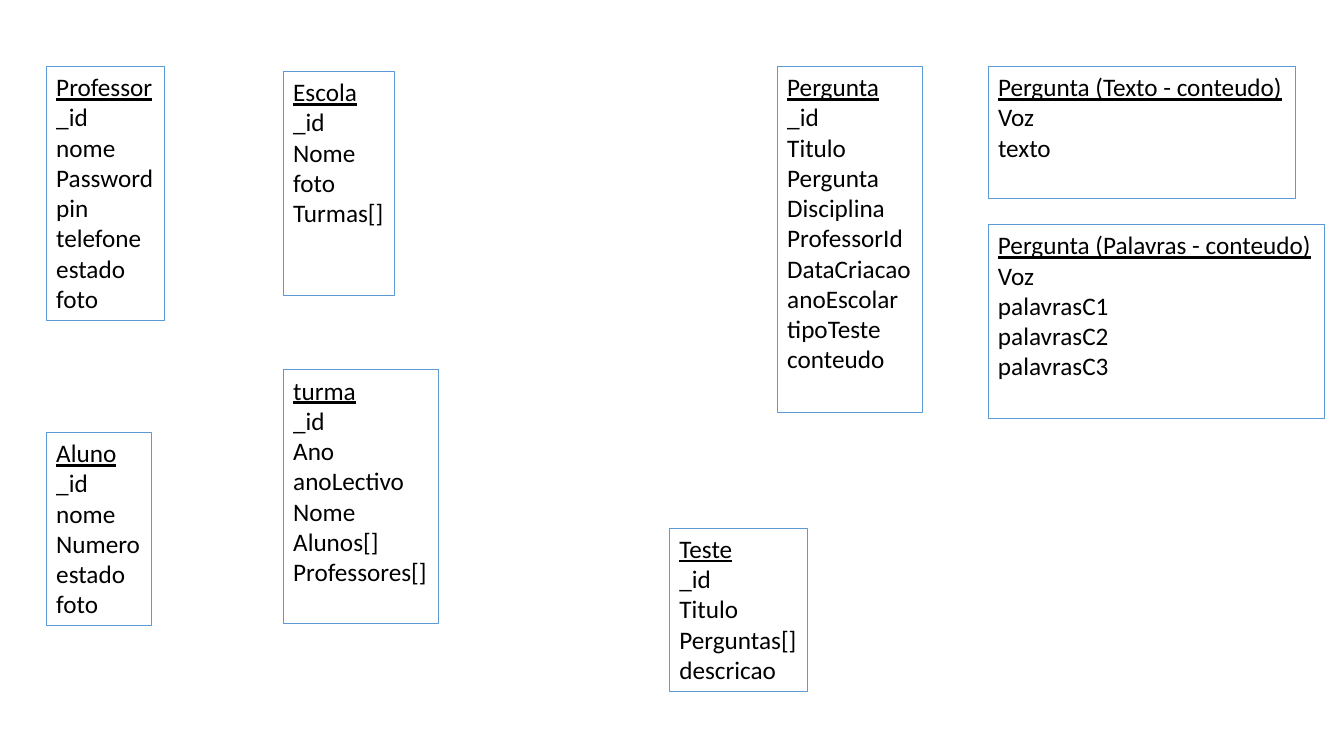
from dataclasses import dataclass

from pptx import Presentation
from pptx.dml.color import RGBColor
from pptx.enum.text import MSO_ANCHOR, MSO_AUTO_SIZE
from pptx.slide import Slide
from pptx.util import Inches, Pt

TOP = MSO_ANCHOR.TOP
NO_AUTOFIT = MSO_AUTO_SIZE.NONE
COLORS = {"border": "5B9BD5", "text": "000000"}
FONT = "Calibri"

# Shared column edges and the top row, in inches
PEOPLE_X, SCHOOL_X, QUESTION_X, CONTENT_X = 0.46, 2.81, 7.71, 9.8
TOP_Y = 0.66


@dataclass(frozen=True)
class Entity:
    """A data entity: its box in inches, its name and its fields."""
    left: float
    top: float
    width: float
    height: float
    name: str
    fields: tuple[str, ...]


ENTITIES = (
    Entity(PEOPLE_X, TOP_Y, 1.17, 2.52, "Professor",
           ("_id", "nome", "Password", "pin", "telefone", "estado", "foto")),
    Entity(PEOPLE_X, 4.29, 1.04, 1.92, "Aluno",
           ("_id", "nome", "Numero", "estado", "foto")),
    Entity(QUESTION_X, TOP_Y, 1.44, 3.43, "Pergunta",
           ("_id", "Titulo", "Pergunta", "Disciplina", "ProfessorId",
            "DataCriacao", "anoEscolar", "tipoTeste", "conteudo")),
    Entity(CONTENT_X, TOP_Y, 3.05, 1.31, "Pergunta (Texto - conteudo)",
           ("Voz", "texto")),
    Entity(CONTENT_X, 2.23, 3.34, 1.92, "Pergunta (Palavras - conteudo)",
           ("Voz", "palavrasC1", "palavrasC2", "palavrasC3")),
    Entity(SCHOOL_X, 0.71, 1.1, 2.22, "Escola",
           ("_id", "Nome", "foto", "Turmas[]")),
    Entity(SCHOOL_X, 3.67, 1.54, 2.52, "turma",
           ("_id", "Ano", "anoLectivo", "Nome", "Alunos[]", "Professores[]")),
    Entity(6.64, 5.24, 1.37, 1.62, "Teste",
           ("_id", "Titulo", "Perguntas[]", "descricao")),
)


def add_entity(slide: Slide, entity: Entity) -> None:
    """Draw an outlined box with an underlined name above its fields."""
    sp = slide.shapes.add_textbox(Inches(entity.left), Inches(entity.top),
                                  Inches(entity.width), Inches(entity.height))
    sp.line.color.rgb = RGBColor.from_string(COLORS["border"])
    sp.line.width = Pt(0.75)
    tf = sp.text_frame
    tf.word_wrap = False
    tf.auto_size = NO_AUTOFIT
    tf.vertical_anchor = TOP
    tf.text = "\n".join((entity.name, *entity.fields))
    for p in tf.paragraphs:
        p.font.name = FONT
        p.font.size = Pt(18)
        p.font.color.rgb = RGBColor.from_string(COLORS["text"])
    tf.paragraphs[0].runs[0].font.underline = True


def main() -> None:
    """Build the slide and save it."""
    prs = Presentation()
    prs.slide_width = Inches(13.33)
    prs.slide_height = Inches(7.5)
    slide = prs.slides.add_slide(prs.slide_layouts[6])
    for entity in ENTITIES:
        add_entity(slide, entity)
    prs.save("out.pptx")


main()
